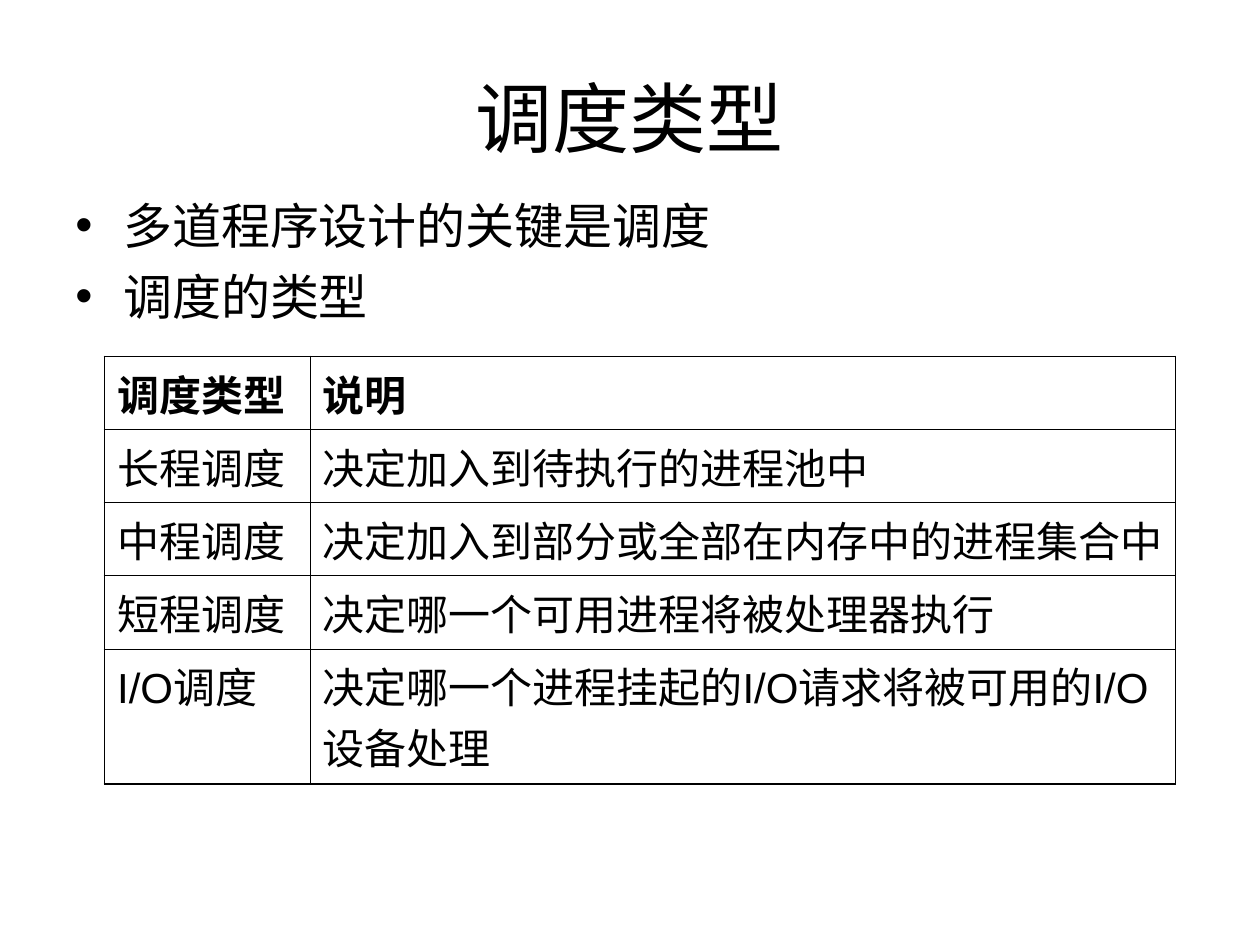
import pptx
import pptx.util
import pptx.dml.color
import pptx.enum.text
from dataclasses import dataclass
from lxml import etree
from pptx.oxml.ns import qn
from pptx.util import Inches, Pt


@dataclass(frozen=True)
class Theme:
    font: str = "Arial"
    ink: str = "000000"
    title: int = 44
    body: int = 28
    cell: int = 24
    outer_line: float = 1.15
    inner_line: float = 0.45


theme = Theme()


def style(para, size, bold=False, east_asian=True):
    """Format the runs; east_asian also names the font for Chinese text."""
    for span in para.runs:
        span.font.name = theme.font
        span.font.size = Pt(size)
        span.font.bold = bold
        span.font.color.rgb = pptx.dml.color.RGBColor.from_string(theme.ink)
        if east_asian:
            etree.SubElement(span.font._element, qn("a:ea"), typeface=theme.font)


def add_border(cell, side, width):
    """Draw one side (L, R, T or B) of a table cell; call before filling it."""
    properties = cell._tc.get_or_add_tcPr()
    line = etree.SubElement(properties, qn(f"a:ln{side}"), w=str(Pt(width)))
    fill = etree.SubElement(line, qn("a:solidFill"))
    etree.SubElement(fill, qn("a:srgbClr"), val=theme.ink)


deck = pptx.Presentation()
deck.slide_width, deck.slide_height = Inches(10), Inches(7.5)
page = deck.slides.add_slide(deck.slide_layouts[6])

# Title
title = page.shapes.add_textbox(Inches(0.5), Inches(0.3), Inches(9), Inches(1.25))
frame = title.text_frame
frame.word_wrap = True
frame.vertical_anchor = pptx.enum.text.MSO_ANCHOR.MIDDLE
frame.text = "调度类型"
frame.paragraphs[0].alignment = pptx.enum.text.PP_ALIGN.CENTER
style(frame.paragraphs[0], theme.title)

# Bullets
points = ["多道程序设计的关键是调度", "调度的类型"]
body = page.shapes.add_textbox(Inches(0.5), Inches(1.5), Inches(8.42), Inches(1.17))
frame = body.text_frame
frame.word_wrap = True
frame.text = "\n".join(points)
for index, para in enumerate(frame.paragraphs):
    if index:
        para.space_before = Pt(7)
    properties = para._p.get_or_add_pPr()
    properties.set("marL", str(Inches(0.38)))
    properties.set("indent", str(Inches(-0.38)))
    etree.SubElement(properties, qn("a:buFont"), typeface=theme.font)
    etree.SubElement(properties, qn("a:buChar"), char="•")
    style(para, theme.body)

# Table of scheduling types
rows = [
    ("调度类型", "说明"),
    ("长程调度", "决定加入到待执行的进程池中"),
    ("中程调度", "决定加入到部分或全部在内存中的进程集合中"),
    ("短程调度", "决定哪一个可用进程将被处理器执行"),
    ("I/O调度", "决定哪一个进程挂起的I/O请求将被可用的I/O设备处理"),
]
column_widths = [1.63, 6.87]
row_heights = [0.58] * 4 + [1.07]
table = page.shapes.add_table(
    len(rows), len(column_widths), Inches(0.83), Inches(2.83),
    Inches(sum(column_widths)), Inches(sum(row_heights))).table
table.horz_banding = False
for column, width in zip(table.columns, column_widths):
    column.width = Inches(width)
for row, height in zip(table.rows, row_heights):
    row.height = Inches(height)

last_row, last_column = len(rows) - 1, len(column_widths) - 1
for r, texts in enumerate(rows):
    for c, text in enumerate(texts):
        cell = table.cell(r, c)
        on_edge = {"L": c == 0, "R": c == last_column,
                   "T": r == 0, "B": r == last_row}
        for side, outer in on_edge.items():
            add_border(cell, side, theme.outer_line if outer else theme.inner_line)
        cell.fill.background()
        cell.text = text
        style(cell.text_frame.paragraphs[0], theme.cell, bold=r == 0,
              east_asian=False)

deck.save("out.pptx")
